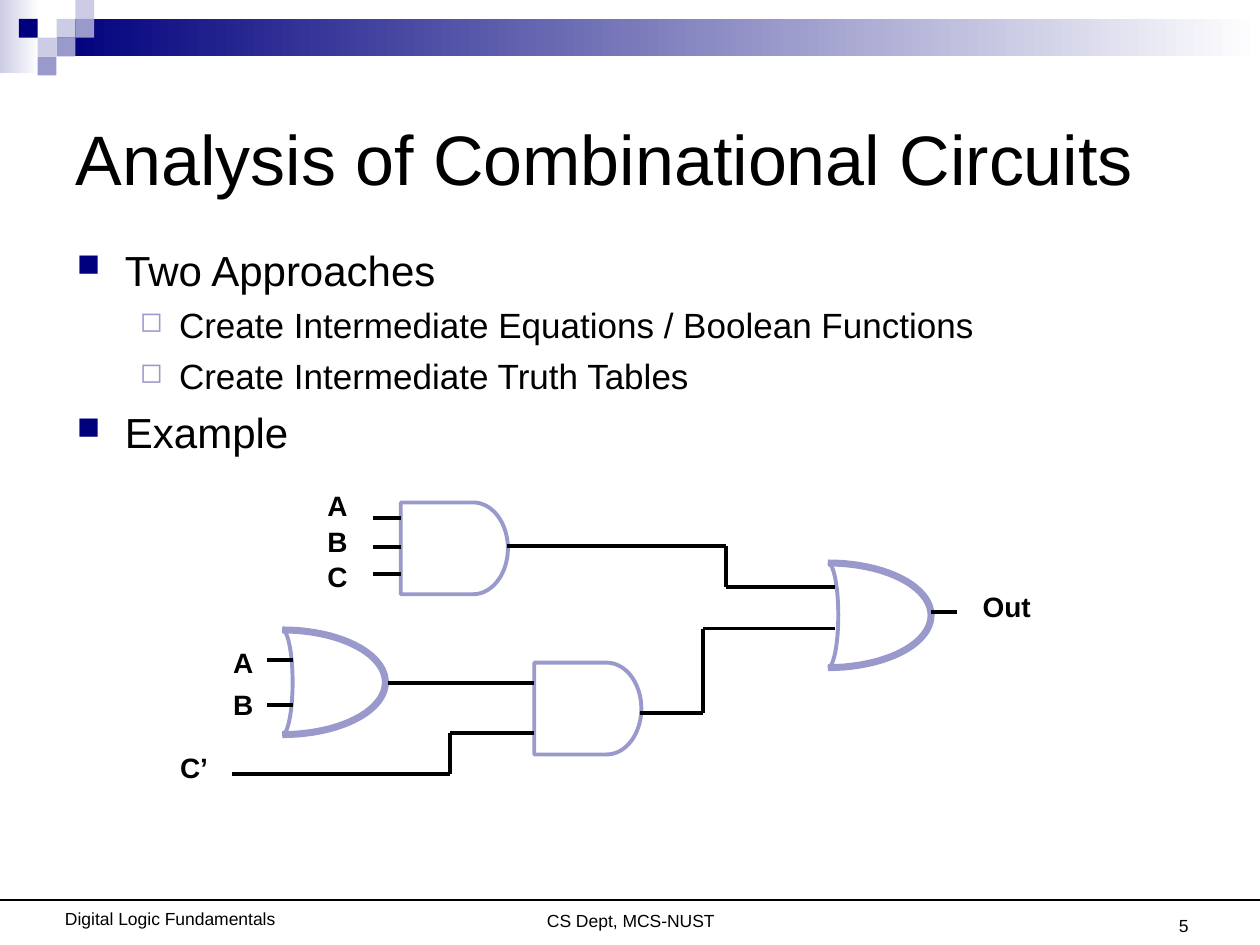
from itertools import pairwise
from math import cos, pi, sin

from lxml.etree import SubElement
from pptx import Presentation
from pptx.dml.color import RGBColor
from pptx.enum.shapes import MSO_CONNECTOR, MSO_SHAPE
from pptx.enum.text import MSO_ANCHOR as ANCHOR, MSO_AUTO_SIZE, PP_ALIGN as ALIGN
from pptx.oxml.ns import qn
from pptx.util import Cm, Pt

COLORS = {"black": "000000", "white": "FFFFFF", "navy": "00007D",
          "mid": "9999CC", "light": "CCCCE6"}
BULLETS = [
    {"char": "■", "color": "navy", "pct": 75, "left": 0.97, "hang": 0.97, "size": 24, "before": 6},
    {"char": "◻", "color": "mid", "pct": 80, "left": 2.06, "hang": 0.79, "size": 20, "before": 5},
]


def rgb(name):
    """Return the named palette colour."""
    return RGBColor.from_string(COLORS[name])


def write(p, text, size=16, bold=False, color="black", align=ALIGN.LEFT):
    """Put formatted text in a paragraph."""
    p.alignment = align
    r = p.add_run()
    r.text = text
    r.font.name, r.font.size, r.font.bold = "Arial", Pt(size), bold
    r.font.color.rgb = rgb(color)


def add_text(slide, text, x, y, w, h, wrap=True, anchor=ANCHOR.TOP, **fmt):
    """Add a text box with one paragraph."""
    tf = slide.shapes.add_textbox(Cm(x), Cm(y), Cm(w), Cm(h)).text_frame
    tf.word_wrap, tf.vertical_anchor = wrap, anchor
    write(tf.paragraphs[0], text, **fmt)


def add_rect(slide, x, y, w, h, color, fade=False):
    """Add a borderless rectangle, solid or fading to white."""
    sp = slide.shapes.add_shape(MSO_SHAPE.RECTANGLE, Cm(x), Cm(y), Cm(w), Cm(h))
    sp.shadow.inherit = False
    sp.line.fill.background()
    if fade:
        sp.fill.gradient()
        sp.fill.gradient_angle = 0
        for stop, name in zip(sp.fill.gradient_stops, (color, "white")):
            stop.color.rgb = rgb(name)
    else:
        sp.fill.solid()
        sp.fill.fore_color.rgb = rgb(color)


def add_wire(slide, points, width=2.25):
    """Join successive points with straight connectors."""
    for start, end in pairwise(points):
        c = slide.shapes.add_connector(
            MSO_CONNECTOR.STRAIGHT, *(Cm(v) for v in (*start, *end)))
        c.line.width = Pt(width)
        c.line.color.rgb = rgb("black")
        SubElement(c._element.spPr, qn("a:effectLst"))


def half_ellipse(x, y, rx, h, steps=40):
    """Return points of a right-hand half ellipse from top to bottom."""
    angles = [pi * i / steps for i in range(steps + 1)]
    return [(x + rx * sin(a), y + h / 2 * (1 - cos(a))) for a in angles]


def add_outline(slide, points, width=2.25, close=False):
    """Draw a gate outline through the points."""
    pts = [(Cm(x), Cm(y)) for x, y in points]
    builder = slide.shapes.build_freeform(*pts[0])
    builder.add_line_segments(pts[1:], close=close)
    sp = builder.convert_to_shape()
    sp.shadow.inherit = False
    sp.fill.background()
    sp.line.width = Pt(width)
    sp.line.color.rgb = rgb("mid")


def and_gate(slide, x, y, w=2.16, h=1.85, rx=0.7):
    """Draw an AND gate in its box."""
    add_outline(slide, [(x, y), *half_ellipse(x + w - rx, y, rx, h), (x, y + h)], close=True)


def or_gate(slide, x, y, w=2.08, h=2.11, bulge=0.21):
    """Draw an OR gate in its box."""
    add_outline(slide, half_ellipse(x, y, w, h), width=4)
    add_outline(slide, half_ellipse(x, y, bulge, h))


def header(slide, x, y, w, unit=0.38):
    """Draw the fading bar and the mosaic of squares."""
    add_rect(slide, x, y, 0.79, 1.47, "light", fade=True)
    add_rect(slide, x + 3 * unit, y + unit, w - 3 * unit, 2 * unit, "navy", fade=True)
    cells = [(2, 1, "light"), (3, 0, "light"), (3, 1, "mid"), (1, 2, "light"),
             (0, 1, "navy"), (2, 2, "mid"), (1, 3, "mid")]
    for col, row, color in cells:
        add_rect(slide, x + col * unit + (0 if col else 0.36), y + row * unit,
                 unit, unit, color) if col else add_rect(
                     slide, x + 0.36, y + row * unit, unit, unit, color)


def header_squares(slide, x, y, unit=0.38):
    """Draw the mosaic of squares at the corner of the bar."""
    cells = [(3, 1, "light"), (4, 0, "light"), (4, 1, "mid"), (2, 2, "light"),
             (1, 1, "navy"), (3, 2, "mid"), (2, 3, "mid")]
    for col, row, color in cells:
        add_rect(slide, x + col * unit, y + row * unit, unit, unit, color)


def header_bars(slide, x, y, w, unit=0.38):
    """Draw the two fading bars of the header."""
    add_rect(slide, x, y, 0.79, 1.47, "light", fade=True)
    add_rect(slide, x + 3 * unit, y + unit, w - 3 * unit, 2 * unit, "navy", fade=True)


def title(slide, text, x, y, w, h):
    """Move and format the title placeholder."""
    sp = slide.shapes.title
    sp.left, sp.top, sp.width, sp.height = Cm(x), Cm(y), Cm(w), Cm(h)
    tf = sp.text_frame
    tf.auto_size, tf.vertical_anchor = MSO_AUTO_SIZE.NONE, ANCHOR.MIDDLE
    write(tf.paragraphs[0], text, size=40)


def bullet_list(slide, items, x, y, w, h):
    """Add the two-level bulleted text."""
    tf = slide.shapes.add_textbox(Cm(x), Cm(y), Cm(w), Cm(h)).text_frame
    tf.word_wrap = True
    for i, (level, text) in enumerate(items):
        p = tf.add_paragraph() if i else tf.paragraphs[0]
        style = BULLETS[level]
        p.level = level
        p.space_before = Pt(style["before"] if i else 0)
        pPr = p._p.get_or_add_pPr()
        pPr.set("marL", str(Cm(style["left"])))
        pPr.set("indent", str(-Cm(style["hang"])))
        SubElement(SubElement(pPr, qn("a:buClr")), qn("a:srgbClr"), val=COLORS[style["color"]])
        SubElement(pPr, qn("a:buSzPct"), val=str(style["pct"] * 1000))
        SubElement(pPr, qn("a:buChar"), char=style["char"])
        write(p, text, size=style["size"])


def circuit(slide, x, y):
    """Draw the gates, wires and labels of the example circuit."""
    for gate, dx, dy in [(and_gate, 5.08, 0.63), (and_gate, 7.77, 3.86),
                         (or_gate, 2.69, 3.2), (or_gate, 13.69, 1.85)]:
        gate(slide, x + dx, y + dy)
    wires = [[(4.52, dy), (5.08, dy)] for dy in (0.94, 1.52, 2.08)]
    wires += [[(2.38, dy), (2.9, dy)] for dy in (3.81, 4.72)]
    wires += [
        [(7.22, 1.5), (11.64, 1.5), (11.64, 2.34), (13.84, 2.34)],
        [(9.9, 4.88), (11.17, 4.88), (11.17, 3.17), (13.84, 3.17)],
        [(1.67, 6.1), (6.07, 6.1), (6.07, 5.28), (7.77, 5.28)],
        [(4.82, 4.27), (7.77, 4.27)],
        [(15.77, 2.84), (16.3, 2.84)],
    ]
    for wire in wires:
        add_wire(slide, [(x + dx, y + dy) for dx, dy in wire])
    labels = [("A", 3.35, 0.23, 0.91), ("B", 3.35, 0.94, 0.91), ("C", 3.35, 1.65, 0.91),
              ("A", 1.45, 3.38, 0.91), ("B", 1.45, 4.24, 0.91),
              ("C’", 0.38, 5.51, 1.07), ("Out", 16.56, 2.26, 1.47)]
    for text, dx, dy, w in labels:
        add_text(slide, text, x + dx, y + dy, w, 0.94, wrap=False, bold=True)


def footer(slide, x, y, w):
    """Draw the footer rule, its two captions and the slide number."""
    add_wire(slide, [(x, y), (x + w, y)], width=0.75)
    add_text(slide, "Digital Logic Fundamentals", x + 0.89, y + 0.03, 5.08, 0.66,
             size=10, align=ALIGN.CENTER)
    add_text(slide, "CS Dept, MCS-NUST", x + 7.42, y + 0.08, 10.59, 0.66,
             size=10, align=ALIGN.CENTER)
    add_text(slide, "5", x + 18.29, y - 0.41, 5.92, 1.27, anchor=ANCHOR.BOTTOM,
             size=10, align=ALIGN.RIGHT)


def main():
    """Build and save the slide."""
    prs = Presentation()
    prs.slide_width, prs.slide_height = Cm(25.4), Cm(19.05)
    slide = prs.slides.add_slide(prs.slide_layouts[5])
    header_bars(slide, 0, 0, 25.4)
    header_squares(slide, 0, 0)
    title(slide, "Analysis of Combinational Circuits", 1.27, 1.27, 22.86, 3.81)
    bullet_list(slide, [(0, "Two Approaches"),
                        (1, "Create Intermediate Equations / Boolean Functions"),
                        (1, "Create Intermediate Truth Tables"),
                        (0, "Example")], 1.3, 4.8, 22.86, 5.18)
    circuit(slide, 3, 9.5)
    footer(slide, 0, 18.14, 25.4)
    prs.save("out.pptx")


if __name__ == "__main__":
    main()
